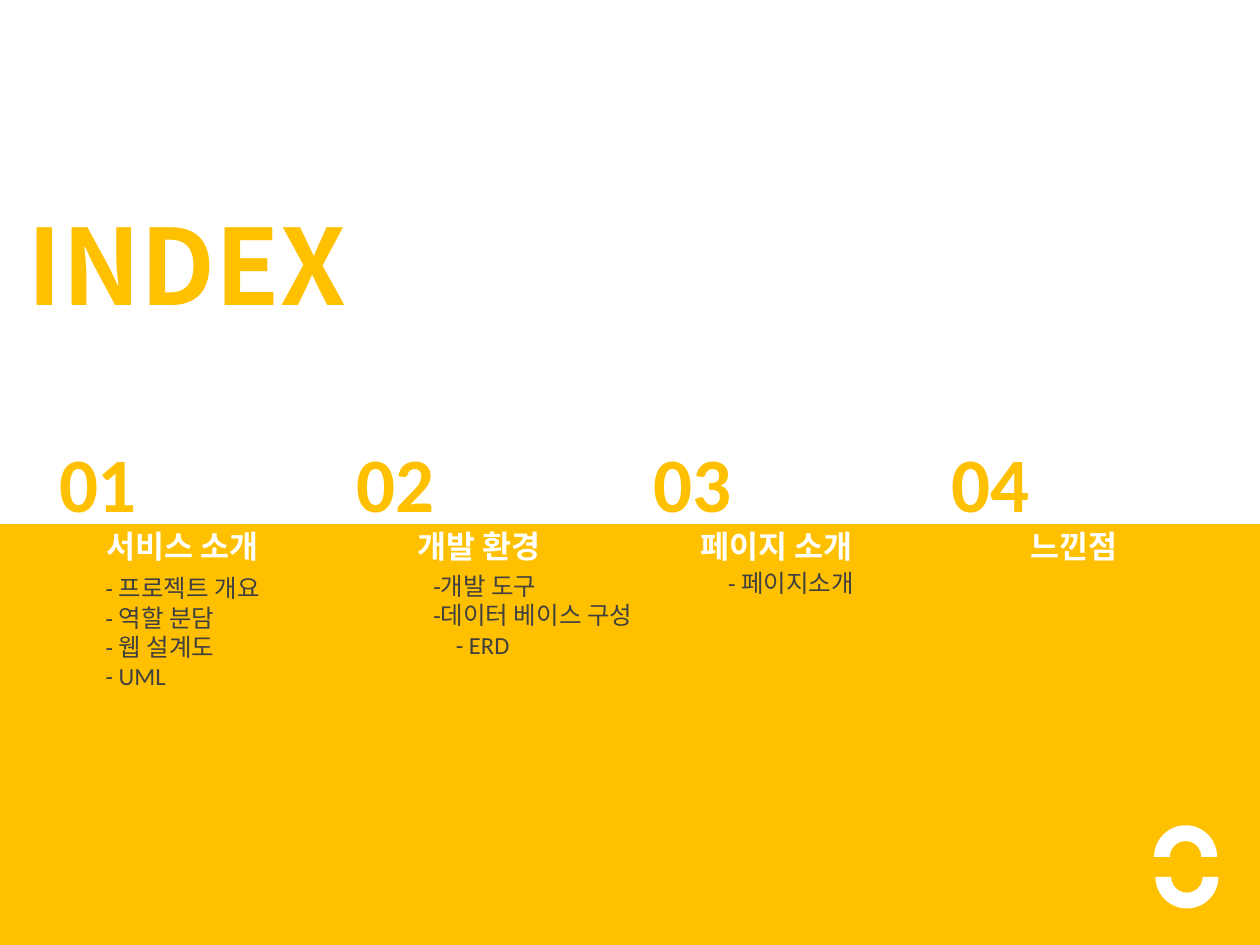
from pptx import Presentation
from pptx.dml.color import RGBColor
from pptx.enum import shapes, text
from pptx.util import Inches, Pt

COLORS = {"yellow": "FFC000", "white": "FFFFFF", "gray": "404040"}
BODY_FONT = "Calibri"
TITLE_FONT = "Noto Sans CJK KR"
COLUMN_PITCH = 2.36

# Heading, list position and size, list items with their indents
SECTIONS = [
    ("서비스 소개", (0.74, 4.5, 1.59, 1.03),
     [("- 프로젝트 개요", 0), ("- 역할 분담", 0), ("- 웹 설계도", 0), ("- UML", 0)]),
    ("개발 환경", (3.34, 4.48, 1.98, 0.81),
     [("-개발 도구", 0), ("-데이터 베이스 구성", 0), ("- ERD", 0.18)]),
    ("페이지 소개", (5.68, 4.46, 2.18, 0.57), [("- 페이지소개", 0)]),
    ("느낀점", None, []),
]


def add_filled(s, kind, box, color, rotation=0):
    sp = s.shapes.add_shape(kind, *map(Inches, box))
    sp.shadow.inherit = False
    sp.fill.solid()
    sp.fill.fore_color.rgb = RGBColor.from_string(COLORS[color])
    sp.line.fill.background()
    sp.rotation = rotation


def add_text(s, box, items, size, color, bold=False, font=BODY_FONT, align=None):
    """Add a text box with one paragraph per (wording, indent) item."""
    tf = s.shapes.add_textbox(*map(Inches, box)).text_frame
    tf.word_wrap = True
    tf.auto_size = text.MSO_AUTO_SIZE.SHAPE_TO_FIT_TEXT
    for i, (wording, indent) in enumerate(items):
        p = tf.add_paragraph() if i else tf.paragraphs[0]
        p.alignment = align
        if indent:
            p._p.get_or_add_pPr().set("marL", str(Inches(indent)))
        r = p.add_run()
        r.text = wording
        r.font.name = font
        r.font.size = Pt(size)
        r.font.bold = bold
        r.font.color.rgb = RGBColor.from_string(COLORS[color])


def add_section(s, index, heading, list_box, items):
    offset = index * COLUMN_PITCH
    add_text(s, (0.45 + offset, 4.13, 1.99, 0.4), [(heading, 0)], 18, "white",
             bold=True, align=text.PP_ALIGN.CENTER)
    add_text(s, (0.37 + offset, 3.41, 1.45, 0.84), [(f"{index + 1:02d}", 0)], 44,
             "yellow", bold=True)
    if items:
        add_text(s, list_box, items, 14, "gray")


def main():
    prs = Presentation()
    prs.slide_width, prs.slide_height = Inches(10), Inches(7.5)
    s = prs.slides.add_slide(prs.slide_layouts[6])

    add_filled(s, shapes.MSO_SHAPE.RECTANGLE, (0, 4.16, 10, 3.34), "yellow")
    add_text(s, (0.12, 1.54, 5.35, 1.11), [("INDEX", 0)], 60, "yellow",
             bold=True, font=TITLE_FONT)
    for index, section in enumerate(SECTIONS):
        add_section(s, index, *section)

    arc = shapes.MSO_SHAPE.BLOCK_ARC
    add_filled(s, arc, (9.16, 6.55, 0.5, 0.5), "white")
    add_filled(s, arc, (9.17, 6.71, 0.5, 0.5), "white", rotation=180)

    prs.save("out.pptx")


if __name__ == "__main__":
    main()
